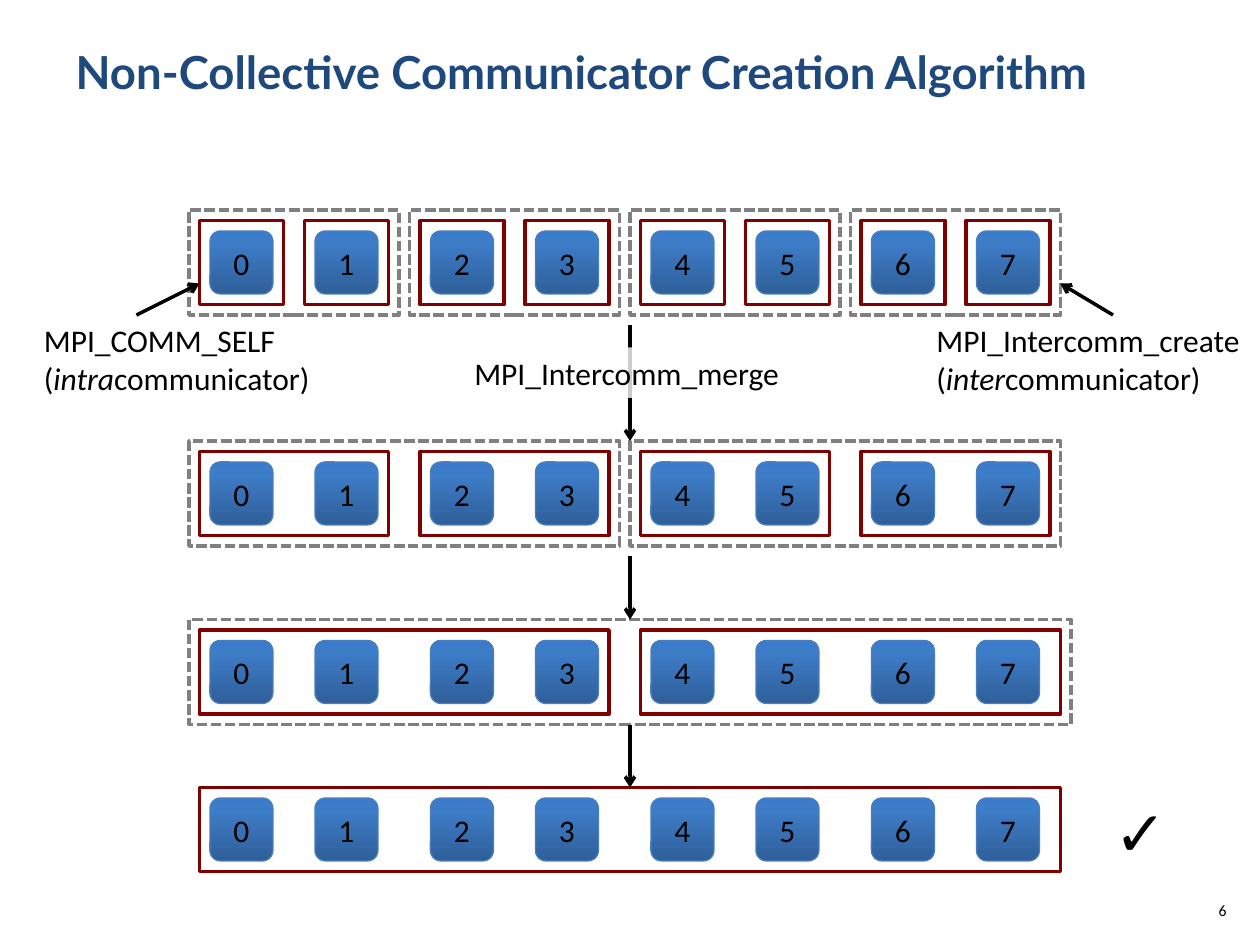
from copy import deepcopy

from lxml.etree import SubElement
from pptx import Presentation
from pptx.dml.color import RGBColor
from pptx.enum.dml import MSO_LINE
from pptx.enum.shapes import MSO_CONNECTOR, MSO_SHAPE
from pptx.enum.text import MSO_ANCHOR, MSO_AUTO_SIZE, PP_ALIGN
from pptx.oxml.ns import qn
from pptx.util import Inches, Pt

COLORS = {
    "title": "1F497D",
    "text": "000000",
    "paper": "FFFFFF",
    "intra": "800000",
    "inter": "808080",
    "rank_line": "4B7EBC",
}
RANK_GRADIENT = [(0, "2F5F99"), (0.8, "3D7CC7"), (1, "3A7CCB")]
COLUMNS, ROWS = 120, 90
RANK_SIZE = 6

# Row of the ranks, ranks per intracommunicator, ranks per intercommunicator,
# extra columns at the right end of the stage
STAGES = [(22, 1, 2, 0), (44, 2, 4, 0), (61, 4, 8, 1), (76, 8, None, 1)]
ARROWS = [
    (106, 30, 101, 27),
    (13, 30, 19, 27),
    (60, 31, 60, 42),
    (60, 53, 60, 59),
    (60, 69, 60, 75),
]


def rgb(name):
    return RGBColor.from_string(COLORS[name])


def write(frame, text, size=18, font="Calibri", color="text", bold=None,
          align=PP_ALIGN.LEFT, anchor=MSO_ANCHOR.TOP, wrap=True):
    """Fill a text frame; lines become paragraphs, *marked* words are italic."""
    frame.word_wrap = wrap
    frame.vertical_anchor = anchor
    for number, line in enumerate(text.split("\n")):
        para = frame.add_paragraph() if number else frame.paragraphs[0]
        para.alignment = align
        for index, part in enumerate(line.split("*")):
            span = para.add_run()
            span.text = part
            span.font.size = Pt(size)
            span.font.name = font
            span.font.bold = bold
            span.font.italic = True if index % 2 else None
            span.font.color.rgb = rgb(color)


def rank_column(rank):
    pair, member = divmod(rank, 2)
    return 20 + 21 * pair + 10 * member


class Diagram:
    """Draws on one slide, with lengths in grid columns and rows."""

    def __init__(self, deck):
        self.page = deck.slides.add_slide(deck.slide_layouts[5])
        self.column = deck.slide_width / COLUMNS
        self.row = deck.slide_height / ROWS

    def place(self, left, top, width, height):
        return (round(left * self.column), round(top * self.row),
                round(width * self.column), round(height * self.row))

    def title(self, text):
        box = self.page.shapes.title
        box.left, box.top, box.width, box.height = self.place(6, 3.6, 108, 12.4)
        write(box.text_frame, text, size=26, font="Lato", color="title", bold=True)

    def label(self, text, left, top, width, height, opacity=None, **style):
        box = self.page.shapes.add_textbox(*self.place(left, top, width, height))
        write(box.text_frame, text, **style)
        if not style.get("wrap", True):
            box.text_frame.auto_size = MSO_AUTO_SIZE.SHAPE_TO_FIT_TEXT
        if opacity:
            box.fill.solid()
            box.fill.fore_color.rgb = rgb("paper")
            paint = next(box._element.iter(qn("a:srgbClr")))
            SubElement(paint, qn("a:alpha"), val=str(opacity * 1000))

    def shape(self, kind, left, top, width, height, line, weight):
        shape = self.page.shapes.add_shape(kind, *self.place(left, top, width, height))
        shape.shadow.inherit = False
        shape.line.color.rgb = rgb(line)
        shape.line.width = Pt(weight)
        return shape

    def communicators(self, row, group_size, margin, slack, color, dash=None):
        """Frame every group of neighbouring ranks in one stage."""
        for first in range(0, 8, group_size):
            last = first + group_size - 1
            left = rank_column(first) - margin
            right = rank_column(last) + RANK_SIZE + margin + (slack if last == 7 else 0)
            frame = self.shape(MSO_SHAPE.RECTANGLE, left, row - margin, right - left,
                               RANK_SIZE + 2 * margin, color, 2)
            frame.fill.background()
            frame.line.dash_style = dash

    def rank(self, number, row):
        box = self.shape(MSO_SHAPE.ROUNDED_RECTANGLE, rank_column(number), row,
                         RANK_SIZE, RANK_SIZE, "rank_line", 0.75)
        box.fill.gradient()
        box.fill.gradient_angle = 90
        stop_list = next(box._element.iter(qn("a:gsLst")))
        stop_list.append(deepcopy(stop_list[-1]))
        for stop, (position, color) in zip(box.fill.gradient_stops, RANK_GRADIENT):
            stop.position = position
            stop.color.rgb = RGBColor.from_string(color)
        frame = box.text_frame
        frame.margin_left = frame.margin_right = 0
        frame.margin_top = frame.margin_bottom = 0
        write(frame, str(number), align=PP_ALIGN.CENTER, anchor=MSO_ANCHOR.MIDDLE)

    def arrow(self, *ends):
        line = self.page.shapes.add_connector(MSO_CONNECTOR.STRAIGHT, *self.place(*ends))
        line.line.color.rgb = rgb("text")
        line.line.width = Pt(2)
        SubElement(line.line._get_or_add_ln(), qn("a:tailEnd"), type="arrow")
        SubElement(line._element.spPr, qn("a:effectLst"))


def main():
    deck = Presentation()
    deck.slide_width, deck.slide_height = Inches(10), Inches(7.5)
    diagram = Diagram(deck)
    diagram.title("Non-Collective Communicator Creation Algorithm")
    diagram.label("6", 113, 85.2, 5, 4.8, size=9, align=PP_ALIGN.RIGHT)

    for row, intra_size, inter_size, slack in STAGES:
        diagram.communicators(row, intra_size, 1, slack, "intra")
        if inter_size:
            diagram.communicators(row, inter_size, 2, slack, "inter",
                                  MSO_LINE.SQUARE_DOT)
    for ends in ARROWS:
        diagram.arrow(*ends)

    diagram.label("MPI_COMM_SELF\n(*intra*communicator)", 3, 30, 27.8, 8.5, wrap=False)
    diagram.label("MPI_Intercomm_create\n(*inter*communicator)", 88, 30, 31.6, 8.5,
                  wrap=False)
    diagram.label("MPI_Intercomm_merge", 44, 33.1, 31.7, 4.8, opacity=80, wrap=False)
    diagram.label("✓", 105, 75, 7, 8.5, size=36, font="Arial", wrap=False)

    for row, *_ in STAGES:
        for number in range(8):
            diagram.rank(number, row)
    deck.save("out.pptx")


if __name__ == "__main__":
    main()
